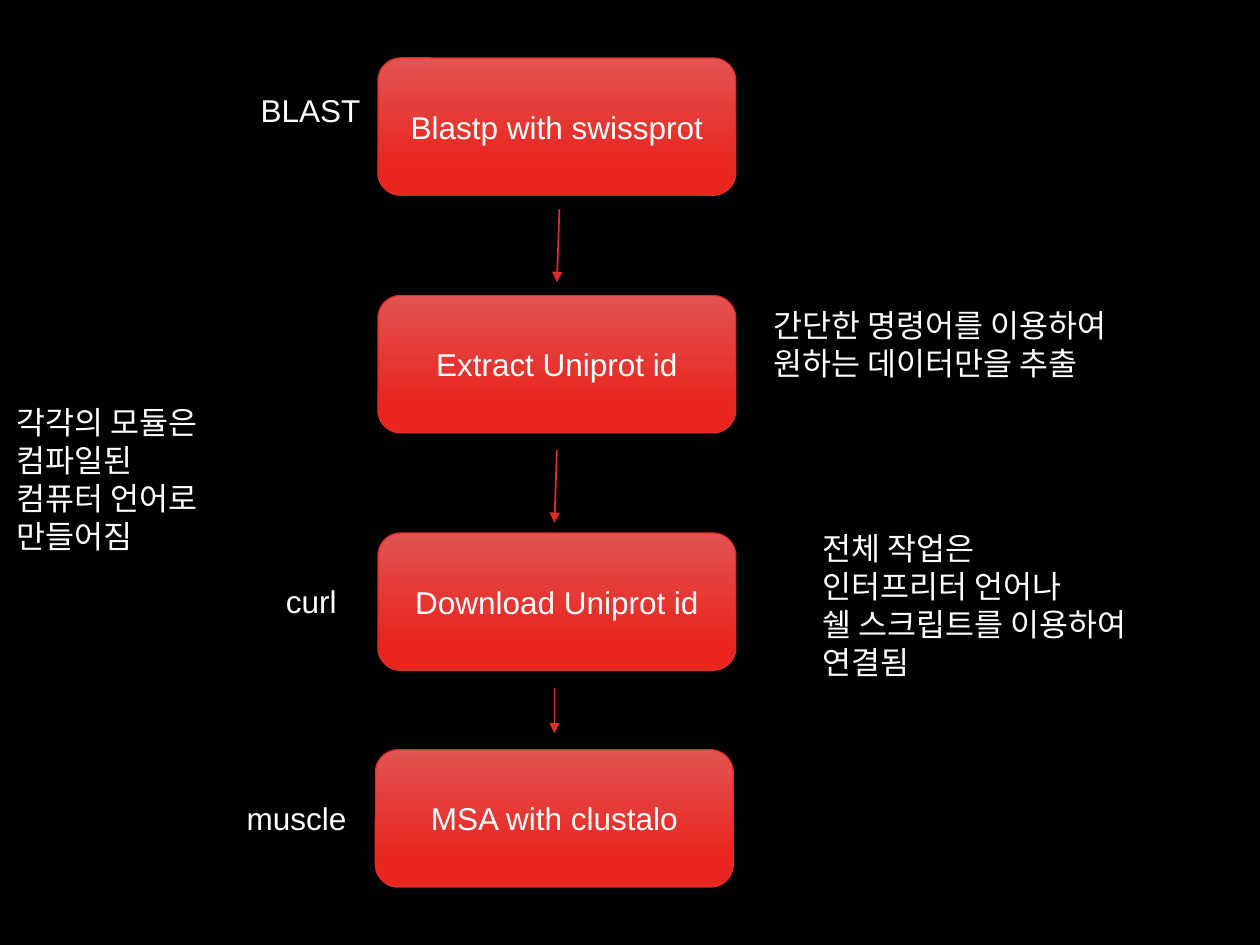
from dataclasses import dataclass

from lxml.etree import SubElement
from pptx import Presentation
from pptx.dml.color import RGBColor
from pptx.enum.shapes import MSO_CONNECTOR, MSO_SHAPE
from pptx.enum.text import MSO_ANCHOR, MSO_AUTO_SIZE, PP_ALIGN
from pptx.oxml.ns import qn
from pptx.slide import Slide
from pptx.text.text import TextFrame
from pptx.util import Inches, Pt

BLACK = RGBColor(0x00, 0x00, 0x00)
WHITE = RGBColor(0xFF, 0xFF, 0xFF)
LIGHT_RED = RGBColor(0xE2, 0x54, 0x52)
DEEP_RED = RGBColor(0xE8, 0x25, 0x1F)
LINE_RED = RGBColor(0xDF, 0x2E, 0x28)

COLUMNS, ROWS = 100, 75
CELL = Inches(0.1)
STEP_WIDTH, STEP_HEIGHT = 28.4, 10.9


@dataclass(frozen=True)
class Step:
    text: str
    column: float
    row: float


@dataclass(frozen=True)
class Arrow:
    start: tuple[float, float]
    end: tuple[float, float]


@dataclass(frozen=True)
class Note:
    lines: tuple[str, ...]
    column: float
    row: float
    width: float
    height: float


STEPS = (
    Step("Blastp with swissprot", 30, 4.6),
    Step("Extract Uniprot id", 30, 23.45),
    Step("Download Uniprot id", 30, 42.3),
    Step("MSA with clustalo", 29.8, 59.5),
)
ARROWS = (
    Arrow((44.4, 16.6), (44.2, 22.4)),
    Arrow((44.2, 35.7), (44, 41.5)),
    Arrow((44, 54.6), (44, 58.2)),
)
NOTES = (
    Note(("BLAST",), 19.7, 6.7, 10, 4),
    Note(("curl",), 21.7, 45.7, 6.1, 4),
    Note(("muscle",), 18.6, 62.9, 10, 4),
    Note(("각각의 모듈은", "컴파일된", "컴퓨터 언어로", "만들어짐"), 0.3, 31.5, 17.9, 13.1),
    Note(("전체 작업은", "인터프리터 언어나", "쉘 스크립트를 이용하여", "연결됨"),
         64.3, 41.5, 28.7, 13.1),
    Note(("간단한 명령어를 이용하여", "원하는 데이터만을 추출"), 60.4, 23.8, 31.2, 7.1),
)


def cells(*counts: float) -> list[int]:
    """Turn counts of grid cells into slide lengths."""
    return [round(count * CELL) for count in counts]


def write_lines(frame: TextFrame, lines: tuple[str, ...], alignment: PP_ALIGN) -> None:
    for index, line in enumerate(lines):
        paragraph = frame.add_paragraph() if index else frame.paragraphs[0]
        paragraph.alignment = alignment
        run = paragraph.add_run()
        run.text = line
        run.font.name = "Arial"
        run.font.size = Pt(18)
        run.font.color.rgb = WHITE


def draw_step(slide: Slide, step: Step) -> None:
    shape = slide.shapes.add_shape(
        MSO_SHAPE.ROUNDED_RECTANGLE,
        *cells(step.column, step.row, STEP_WIDTH, STEP_HEIGHT),
    )
    shape.shadow.inherit = False
    shape.fill.gradient()
    shape.fill.gradient_angle = 270
    first, last = shape.fill.gradient_stops
    first.position, first.color.rgb = 0, LIGHT_RED
    last.position, last.color.rgb = 0.78, DEEP_RED
    shape.line.color.rgb = LINE_RED
    shape.line.width = Pt(0.75)
    shape.text_frame.vertical_anchor = MSO_ANCHOR.MIDDLE
    write_lines(shape.text_frame, (step.text,), PP_ALIGN.CENTER)


def draw_arrow(slide: Slide, arrow: Arrow) -> None:
    connector = slide.shapes.add_connector(
        MSO_CONNECTOR.STRAIGHT, *cells(*arrow.start, *arrow.end)
    )
    connector.line.color.rgb = LINE_RED
    connector.line.width = Pt(1)
    SubElement(connector.line._get_or_add_ln(), qn("a:tailEnd"), type="triangle")
    SubElement(connector._element.spPr, qn("a:effectLst"))


def draw_note(slide: Slide, note: Note) -> None:
    box = slide.shapes.add_textbox(*cells(note.column, note.row, note.width, note.height))
    box.text_frame.word_wrap = False
    box.text_frame.auto_size = MSO_AUTO_SIZE.SHAPE_TO_FIT_TEXT
    write_lines(box.text_frame, note.lines, PP_ALIGN.LEFT)


def main() -> None:
    presentation = Presentation()
    presentation.slide_width, presentation.slide_height = cells(COLUMNS, ROWS)
    slide = presentation.slides.add_slide(presentation.slide_layouts[6])
    slide.background.fill.solid()
    slide.background.fill.fore_color.rgb = BLACK
    for step in STEPS:
        draw_step(slide, step)
    for arrow in ARROWS:
        draw_arrow(slide, arrow)
    for note in NOTES:
        draw_note(slide, note)
    presentation.save("out.pptx")


if __name__ == "__main__":
    main()
